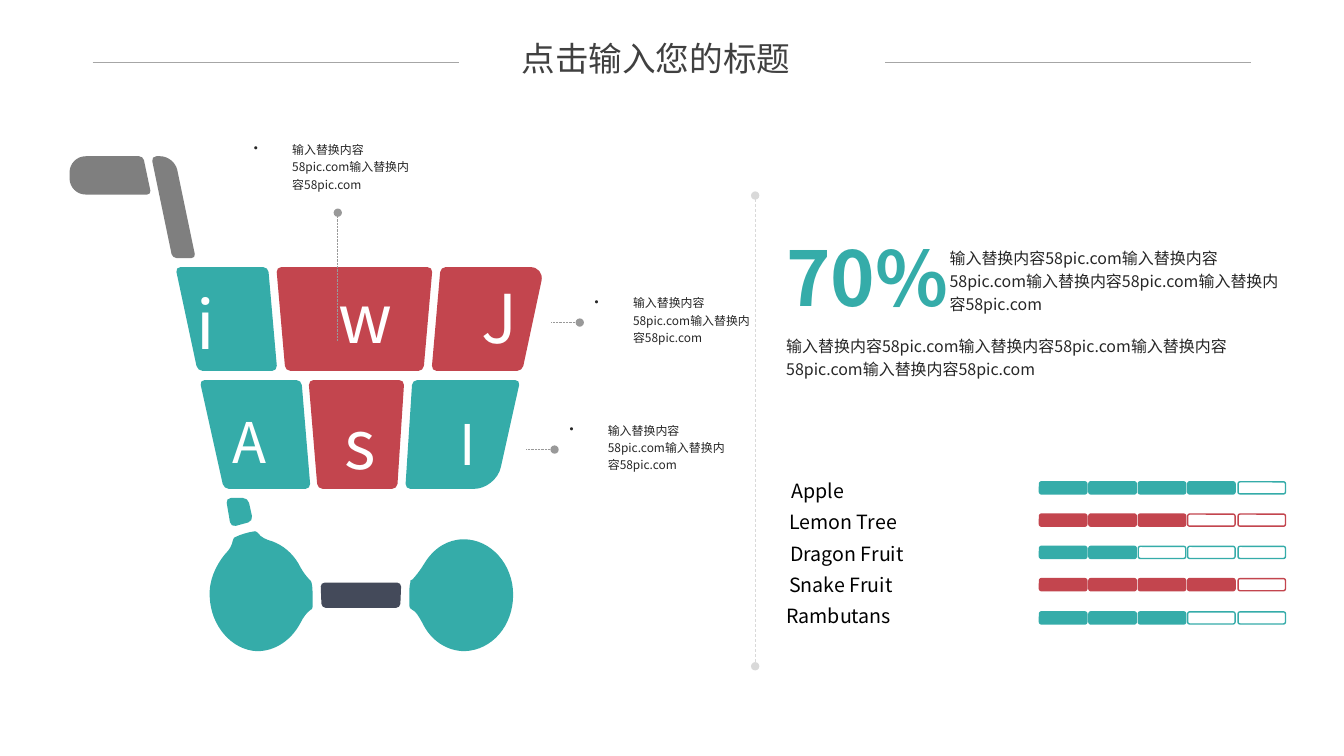
import pptx
import pptx.dml.color
import pptx.enum.dml
import pptx.enum.shapes
import pptx.enum.text
import pptx.oxml.ns
import pptx.util
from lxml import etree

PX = 9144
FONT = "Noto Sans CJK JP"
TEAL, RED, GRAY, NAVY, INK = "35ACA9", "C3454E", "7F7F7F", "444A5A", "262626"
FILLER = "输入替换内容58pic.com" * 2
DASH = pptx.enum.dml.MSO_LINE
ALIGN = pptx.enum.text.PP_ALIGN
ANCHOR = pptx.enum.text.MSO_ANCHOR

CART_PARTS = [
    (GRAY, [(2, 0, 16), (75, 0, 4), (83, 38, 4), (2, 38, 16)]),
    (GRAY, [(83, 0, 5), (106, 0, 14), (127, 101, 4), (104, 101, 4)]),
    (TEAL, [(107, 110, 5), (199, 110, 5), (208, 213, 5), (129, 213, 5)]),
    (RED, [(207, 110, 5), (362, 110, 5), (353, 213, 5), (216, 213, 5)]),
    (RED, [(370, 110, 5), (473, 110, 14), (451, 213, 5), (361, 213, 5)]),
    (TEAL, [(131, 222, 5), (232, 222, 5), (241, 330, 5), (155, 330, 5)]),
    (RED, [(239, 222, 5), (334, 222, 5), (327, 330, 5), (248, 330, 5)]),
    (TEAL, [(342, 222, 5), (449, 222, 5), (425, 330, 22), (335, 330, 5)]),
    (TEAL, [(157, 339, 5), (179, 339, 5), (184, 362, 5), (162, 368, 5)]),
    (NAVY, [(251, 423, 4), (331, 423, 4), (330, 448, 4), (252, 448, 4)]),
]
LEFT_WHEEL = [
    (229, 404), (223, 394), (214, 386), (203, 382), (196, 380), (192, 378), (189, 374),
    (188, 373), (187, 372), (186, 372), (179, 373), (172, 375), (166, 378),
    (165, 378), (165, 379), (164, 381), (163, 386), (161, 390), (156, 395),
    (147, 406), (140, 421), (141, 437), (142, 466), (163, 490), (188, 491),
    (206, 491), (222, 480), (231, 463), (234, 457), (237, 453), (241, 450),
    (242, 450), (243, 449), (243, 447), (243, 443), (243, 440), (243, 436),
    (243, 431), (243, 427), (242, 423), (242, 422), (241, 421), (240, 420),
    (237, 417), (233, 412), (229, 404),
]
RIGHT_WHEEL = [
    (352, 463), (360, 480), (376, 491), (394, 491), (421, 490), (442, 466), (442, 435),
    (442, 405), (420, 380), (393, 380), (377, 380), (363, 389), (354, 404),
    (349, 412), (345, 417), (342, 420), (340, 420), (340, 421), (340, 423),
    (339, 427), (339, 431), (339, 436), (339, 439), (339, 443), (339, 446),
    (339, 448), (340, 449), (342, 450), (346, 452), (348, 456), (352, 463),
]
LETTERS = [
    ("J", 401, 114, 56, 91, 48), ("I", 379, 246, 36, 77, 40), ("w", 259, 114, 76, 91, 48),
    ("i", 118, 120, 38, 91, 48), ("A", 154, 244, 61, 77, 40), ("s", 265, 239, 57, 91, 48),
]
FRUITS = [
    ("Apple", 5, TEAL, 4), ("Lemon Tree", 3, RED, 3), ("Dragon Fruit", 4, TEAL, 2),
    ("Snake Fruit", 3, RED, 4), ("Rambutans", 0, TEAL, 3),
]


def rgb(value):
    """Turn a hex string into a colour."""
    return pptx.dml.color.RGBColor.from_string(value)


def add_xml(parent, tag, **attrs):
    """Append a drawing element to its parent."""
    return etree.SubElement(parent, pptx.oxml.ns.qn(tag), attrs)


def add_text(s, box, text, size, color, bold=False, wrap=True, spacing=None,
             align=None, anchor=ANCHOR.TOP, inset=None, bullet=False):
    """Place one paragraph of text in a box."""
    tf = s.shapes.add_textbox(*(v * PX for v in box)).text_frame
    tf.word_wrap = wrap
    tf.vertical_anchor = anchor
    if not bullet:
        tf.auto_size = pptx.enum.text.MSO_AUTO_SIZE.SHAPE_TO_FIT_TEXT
    if inset is not None:
        tf.margin_left = tf.margin_top = tf.margin_right = tf.margin_bottom = inset
    p = tf.paragraphs[0]
    p.text = text
    p.alignment = align
    if spacing:
        p.line_spacing = spacing
    if bullet:
        pPr = p._p.get_or_add_pPr()
        pPr.set("marL", str(38 * PX))
        pPr.set("indent", str(-38 * PX))
        add_xml(pPr, "a:buChar", char="•")
    r = p.runs[0]
    r.font.size = pptx.util.Pt(size)
    r.font.bold = bold
    r.font.color.rgb = rgb(color)
    r.font.name = FONT
    add_xml(r._r.get_or_add_rPr(), "a:ea", typeface=FONT)


def add_line(s, start, end, color, dash=None, ends=()):
    """Draw a thin line with optional round ends."""
    c = s.shapes.add_connector(pptx.enum.shapes.MSO_CONNECTOR.STRAIGHT,
                               *(v * PX for v in start + end))
    c.line.color.rgb = rgb(color)
    c.line.width = pptx.util.Pt(0.5)
    if dash:
        c.line.dash_style = dash
    spPr = c._element.spPr
    for tag in ends:
        add_xml(spPr.find(pptx.oxml.ns.qn("a:ln")), tag, type="oval")
    add_xml(spPr, "a:effectLst")


def toward(a, b, distance):
    """Find the point at a distance from a on the way to b."""
    dx, dy = b[0] - a[0], b[1] - a[1]
    k = distance / (dx * dx + dy * dy) ** 0.5
    return a[0] + dx * k, a[1] + dy * k


def rounded(corners):
    """List the edges and corner curves of a rounded polygon."""
    segments = []
    for i, corner in enumerate(corners):
        before, after, r = corners[i - 1], corners[(i + 1) % len(corners)], corner[2]
        segments.append([toward(corner, before, r)])
        segments.append([toward(corner, before, r * 0.45), toward(corner, after, r * 0.45),
                         toward(corner, after, r)])
    return segments


def smooth(points):
    """List the cubic curves of a chain of points."""
    return [points[:1]] + [points[i:i + 3] for i in range(1, len(points), 3)]


def add_outline(s, x, y, segments, color):
    """Fill a closed outline of edges and curves."""
    emu = [[(round((x + a) * PX), round((y + b) * PX)) for a, b in segment]
           for segment in segments]
    fb = s.shapes.build_freeform(*emu[0][-1])
    fb.add_line_segments([segment[-1] for segment in emu[1:]], close=True)
    sp = fb.convert_to_shape()
    edges = list(sp._element.iter(pptx.oxml.ns.qn("a:lnTo")))
    for edge, segment in zip(edges, emu[1:]):
        if len(segment) == 3:
            curve = etree.Element(pptx.oxml.ns.qn("a:cubicBezTo"))
            for a, b in segment:
                add_xml(curve, "a:pt", x=str(a - sp.left), y=str(b - sp.top))
            edge.getparent().replace(edge, curve)
    sp.shadow.inherit = False
    sp.fill.solid()
    sp.fill.fore_color.rgb = rgb(color)
    sp.line.fill.background()


def add_title(s, x, y, w):
    """Draw the title between two rules."""
    add_text(s, (x + 354, y, 409, 40), "点击输入您的标题", 24, "404040",
             align=ALIGN.CENTER, anchor=ANCHOR.MIDDLE, inset=0)
    for left in (x, x + w - 363):
        add_line(s, (left, y + 24), (left + 363, y + 24), "A6A6A6")


def add_cart(s, x, y):
    """Draw the shopping cart with its letters."""
    for color, corners in CART_PARTS:
        add_outline(s, x, y, rounded(corners), color)
    for wheel in (LEFT_WHEEL, RIGHT_WHEEL):
        add_outline(s, x, y, smooth(wheel), TEAL)
    for letter, dx, dy, w, h, size in LETTERS:
        add_text(s, (x + dx, y + dy, w, h), letter, size, "FFFFFF", wrap=False)


def add_callout(s, x, y, start=(-33, 34), end=(-5, 34)):
    """Draw a bulleted note and its pointer."""
    add_line(s, (x + start[0], y + start[1]), (x + end[0], y + end[1]),
             "999999", DASH.ROUND_DOT, ["a:tailEnd"])
    add_text(s, (x, y, 185, 61), FILLER, 8.5, INK, spacing=1.2, bullet=True)


def add_summary(s, x, y):
    """Place the large percentage and its two paragraphs."""
    add_text(s, (x, y + 101, 514, 77), FILLER * 2, 11.4, INK, spacing=1.2)
    add_text(s, (x + 162, y + 14, 346, 100), FILLER * 2, 11.4, INK, spacing=1.2)
    add_text(s, (x, y, 190, 101), "70%", 54, TEAL, bold=True, wrap=False)


def add_ratings(s, x, y):
    """List the fruits with five-step rating bars."""
    for i, (fruit, dx, color, score) in enumerate(FRUITS):
        add_text(s, (x + dx, y + 31 * i, 274, 34), fruit, 14, "000000", anchor=ANCHOR.MIDDLE)
        for j in range(5):
            box = (x + 261 + 197 * j // 4, y + 8 + 129 * i // 4, 47, 12)
            sp = s.shapes.add_shape(pptx.enum.shapes.MSO_SHAPE.ROUNDED_RECTANGLE,
                                    *(v * PX for v in box))
            sp.shadow.inherit = False
            sp.line.color.rgb = rgb(color)
            sp.line.width = pptx.util.Pt(1)
            if j < score:
                sp.fill.solid()
                sp.fill.fore_color.rgb = rgb(color)
            else:
                sp.fill.background()


def main():
    """Build and save the slide."""
    prs = pptx.Presentation()
    prs.slide_width, prs.slide_height = 1333 * PX, 750 * PX
    s = prs.slides.add_slide(prs.slide_layouts[6])
    add_cart(s, 67, 155)
    add_callout(s, 580, 286)
    add_callout(s, 555, 412)
    add_callout(s, 242, 134, (93, 204), (93, 77))
    add_summary(s, 770, 224)
    add_line(s, (749, 194), (749, 661), "D9D9D9", DASH.DASH, ["a:headEnd", "a:tailEnd"])
    add_ratings(s, 770, 470)
    add_title(s, 92, 38, 1149)
    prs.save("out.pptx")


if __name__ == "__main__":
    main()
